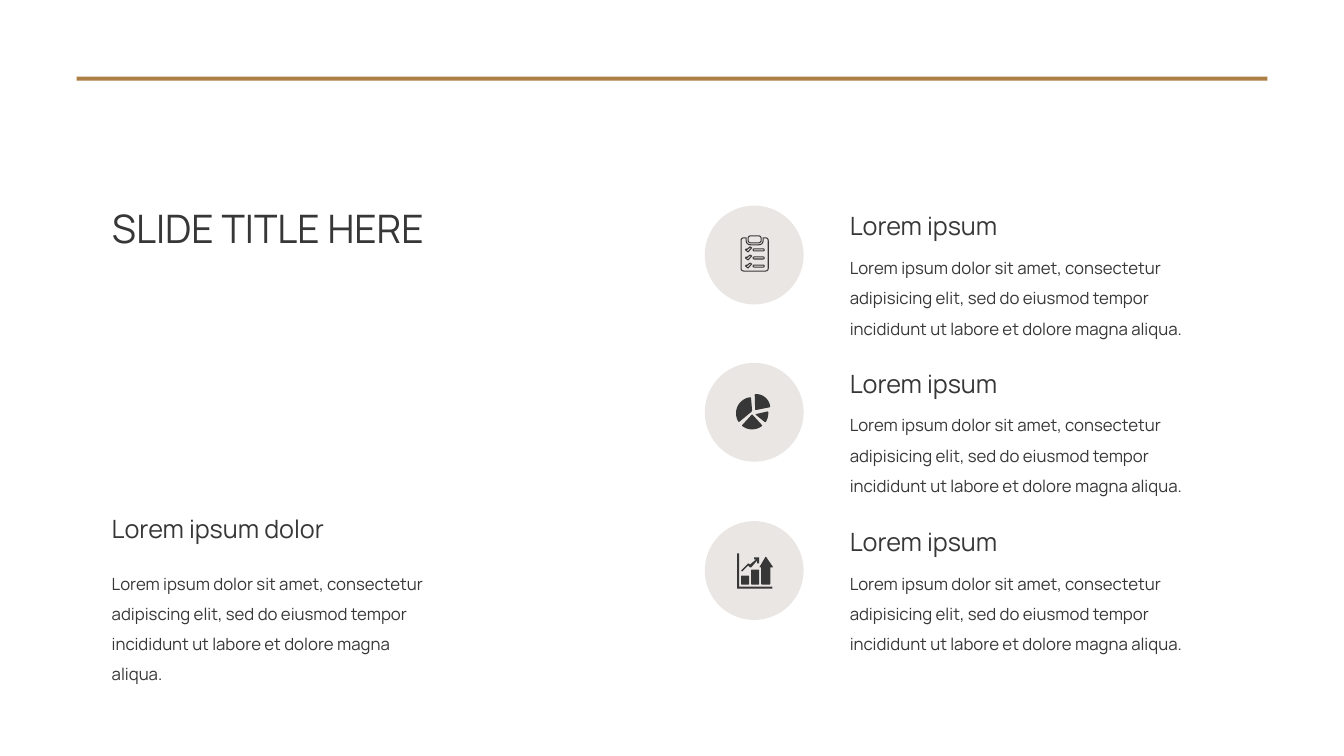
from math import cos, dist, radians, sin

from pptx import Presentation
from pptx.dml.color import RGBColor
from pptx.enum.shapes import MSO_SHAPE
from pptx.enum.text import MSO_ANCHOR, MSO_AUTO_SIZE, PP_ALIGN
from pptx.util import Emu, Pt

EMU_PER_PX = 9144
INK = "383737"
PALE = "EAE6E4"
BRONZE = "AC7F46"
FONT = "Manrope"
ITEM_TEXT = ("Lorem ipsum dolor sit amet, consectetur adipisicing elit, "
             "sed do eiusmod tempor incididunt ut labore et dolore magna aliqua.")
SUMMARY_TEXT = ("Lorem ipsum dolor sit amet, consectetur adipiscing elit, "
                "sed do eiusmod tempor incididunt ut labore et dolore magna aliqua.")


def px(length):
    """Turn px into EMU."""
    return Emu(round(length * EMU_PER_PX))


def color(hex_string):
    """Turn a hex string into a colour."""
    return RGBColor.from_string(hex_string)


def paint(shape, fill, line=None):
    """Give a shape its fill and optional outline, without a shadow."""
    shape.shadow.inherit = False
    shape.fill.solid()
    shape.fill.fore_color.rgb = color(fill)
    if line:
        shape.line.color.rgb = color(line)
        shape.line.width = Pt(0.75)
    else:
        shape.line.fill.background()


def add_preset(slide, kind, box, fill):
    """Add a filled preset shape in a box."""
    paint(slide.shapes.add_shape(kind, *map(px, box)), fill)


def write_text(slide, text, box, size=12, spacing=None, shape=None):
    """Write one paragraph in a new text box or in the given shape."""
    left, top, width, height = map(px, box)
    if shape is None:
        shape = slide.shapes.add_textbox(left, top, width, height)
    shape.left, shape.top, shape.width, shape.height = left, top, width, height
    frame = shape.text_frame
    frame.word_wrap = True
    frame.auto_size = MSO_AUTO_SIZE.SHAPE_TO_FIT_TEXT
    frame.vertical_anchor = MSO_ANCHOR.TOP
    paragraph = frame.paragraphs[0]
    paragraph.alignment = PP_ALIGN.LEFT
    paragraph.line_spacing = spacing
    run = paragraph.add_run()
    run.text = text
    run.font.name = FONT
    run.font.size = Pt(size)
    run.font.color.rgb = color(INK)


def toward(start, end, length):
    """Return the point a length away from start on the way to end."""
    share = length / dist(start, end)
    return tuple(a + (b - a) * share for a, b in zip(start, end))


def rounded(corners, radius=0):
    """Return an outline whose corners (x, y, own radius) are rounded."""
    points = []
    for index, (x, y, *own) in enumerate(corners):
        bend = own[0] if own else radius
        if not bend:
            points.append((x, y))
            continue
        following = corners[(index + 1) % len(corners)]
        start = toward((x, y), corners[index - 1][:2], bend)
        end = toward((x, y), following[:2], bend)
        for t in (0, 0.25, 0.5, 0.75, 1):
            points.append(tuple((1 - t) ** 2 * a + 2 * t * (1 - t) * b + t * t * c
                                for a, b, c in zip(start, (x, y), end)))
    return points


def rounded_box(left, top, width, height, radius):
    """Return the outline of a rounded rectangle."""
    right, bottom = left + width, top + height
    return rounded([(left, top), (right, top), (right, bottom), (left, bottom)], radius)


def pie_slice(tip, center, radius, first, last):
    """Return the outline of a slice from its tip and its arc in degrees."""
    angles = [radians(first + (last - first) * step / 16) for step in range(17)]
    arc = [(center[0] + radius * cos(a), center[1] + radius * sin(a)) for a in angles]
    return rounded([(*tip, 1), (*arc[0], 1), *arc[1:-1], (*arc[-1], 1)])


def add_outline(slide, origin, contours, fill=INK, line=None):
    """Add one freeform made of closed contours placed from an origin."""
    placed = [[(px(origin[0] + x), px(origin[1] + y)) for x, y in contour]
              for contour in contours]
    builder = slide.shapes.build_freeform(*placed[0][0])
    for index, contour in enumerate(placed):
        if index:
            builder.move_to(*contour[0])
        builder.add_line_segments(contour[1:], close=True)
    paint(builder.convert_to_shape(), fill, line)


def draw_checklist(slide, origin):
    """Draw a clipboard with three ticked rows."""
    board = [rounded([(36, 32, 3), (41, 32), (41, 39, 5), (58, 39, 5),
                      (58, 32), (63, 32, 3), (63, 65, 3), (36, 65, 3)])]
    tick = [(41, 43), (42, 43.5), (45, 41), (46.5, 42), (43, 46), (40.5, 44)]
    for drop in (0, 8, 16):
        board.append([(x, y + drop) for x, y in tick])
        board.append(rounded_box(48, 43 + drop, 11, 2, 1))
    add_outline(slide, origin, [rounded_box(43, 30, 13, 7, 3)], PALE, INK)
    add_outline(slide, origin, board, PALE, INK)


def draw_pie(slide, origin):
    """Draw a pie of four separate slices."""
    center = (47, 50)
    for tip, middle, radius, first, last in (
            ((50, 47), (51, 45), 14, -96, -4), ((47, 51), center, 16, 130, 50),
            ((50, 51), center, 16, -7, 35), ((47, 48), center, 16, -94, -214)):
        add_outline(slide, origin, [pie_slice(tip, middle, radius, first, last)])


def draw_growth(slide, origin):
    """Draw rising bars, a trend arrow and an axis."""
    trend = [(36, 49), (43, 42), (45, 43), (51, 38), (49, 38), (49, 36), (54, 36),
             (54, 42), (52, 42), (52, 39), (46, 46), (45, 46), (43, 44), (37, 50)]
    arrow = [(54, 46, 1), (56, 46), (56, 63, 1), (65, 63, 1),
             (65, 46), (68, 46, 1), (60.5, 35, 1)]
    axis = [(32, 32), (34, 32), (34, 65), (67, 65), (67, 67), (32, 67)]
    for contour in (trend, rounded_box(36, 54, 8, 9, 1), rounded_box(46, 48, 8, 15, 1),
                    rounded(arrow), rounded(axis, 0.5)):
        add_outline(slide, origin, [contour])


def add_item(slide, left, top, draw_icon):
    """Place an icon on its disc beside a heading and text."""
    add_preset(slide, MSO_SHAPE.OVAL, (left, top, 98, 98), PALE)
    draw_icon(slide, (left, top))
    write_text(slide, ITEM_TEXT, (left + 134, top + 37, 374, 97), spacing=1.5)
    write_text(slide, "Lorem ipsum", (left + 134, top, 374, 40), size=18)


def add_summary(slide, left, top, width):
    """Place the title and the summary in the left column."""
    write_text(slide, "SLIDE TITLE HERE", (left, top, width, 104), size=28,
               shape=slide.shapes.title)
    write_text(slide, "Lorem ipsum dolor", (left, top + 306, width, 40), size=18)
    write_text(slide, SUMMARY_TEXT, (left, top + 356, width, 128), spacing=1.5)


def main():
    """Build and save the slide."""
    presentation = Presentation()
    presentation.slide_width, presentation.slide_height = px(1333), px(750)
    slide = presentation.slides.add_slide(presentation.slide_layouts[5])
    for index, draw_icon in enumerate((draw_checklist, draw_pie, draw_growth)):
        add_item(slide, 699, 204 + index * 313 // 2, draw_icon)
    add_summary(slide, 101, 198, 344)
    add_preset(slide, MSO_SHAPE.RECTANGLE, (76, 76, 1181, 4), BRONZE)
    presentation.save("out.pptx")


if __name__ == "__main__":
    main()
